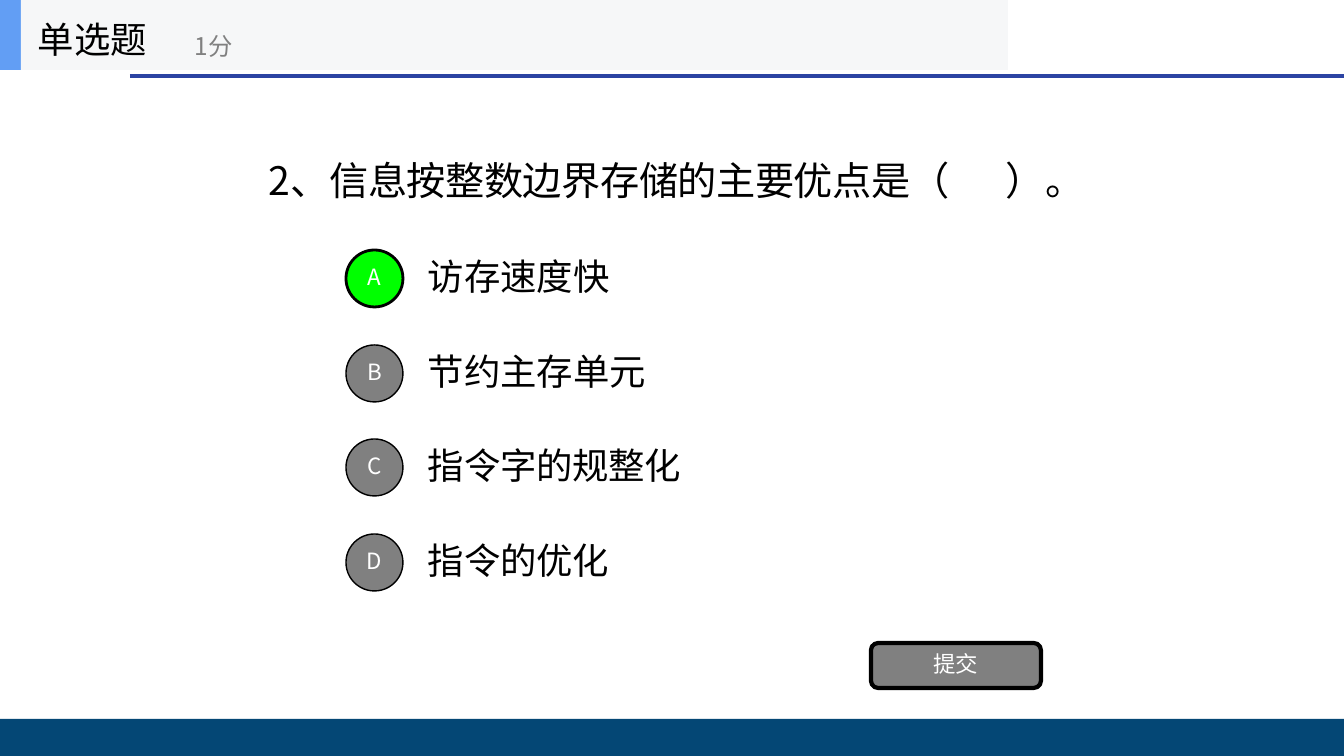
import pptx
import pptx.util
import pptx.dml.color
import pptx.enum.shapes
import pptx.enum.text
import pptx.oxml.ns
import lxml.etree

SIZE = (1344, 756)
THEME = {
    "font": "Noto Sans CJK SC",
    "ink": "000000", "white": "FFFFFF", "gray": "808080", "green": "00FF00",
    "rule": "2C44A3", "foot": "044775", "tab": "629EF4", "head": "F6F7F8",
    "title": 28, "body": 26, "score": 30, "mark": 16,
}
HEAD = [("单选", "body", "ink", 0, 0), ("题\t", "body", "ink", -50, 0),
        ("1", "score", "gray", 0, -4000), ("分", "score", "gray", -80, -4000)]
TITLE = [("2", "title", "ink", 0, 0),
         ("、信息按整数边界存储的主要优点是", "title", "ink", -30, 0),
         ("（\t", "title", "ink", -50, 0), ("）", "title", "ink", -30, 0),
         ("。", "title", "ink", -50, 0)]
OPTIONS = [("A", "访存速度快", -10), ("B", "节约主存单元", -10),
           ("C", "指令字的规整化", -20), ("D", "指令的优化", -20)]
RIGHT = "A"
SUBMIT = "提交"
BARS = [("foot", (0, 719, 1344, 37)), ("tab", (0, 0, 21, 70))]
RULE = (130, 76, 1344, 76)
TOP, DISC, LEFT, TWICE = 250, 57, 346, 189

KIND = pptx.enum.shapes.MSO_SHAPE
ALIGN = pptx.enum.text.PP_ALIGN
ANCHOR = pptx.enum.text.MSO_ANCHOR
qn = pptx.oxml.ns.qn


def px(n):
    return pptx.util.Emu(round(n * 914400 / 100.8))


def tint(name):
    return pptx.dml.color.RGBColor.from_string(THEME[name])


def draw(slide, kind, box, fill, line=0):
    shape = slide.shapes.add_shape(kind, *map(px, box))
    shape.shadow.inherit = False
    shape.fill.solid()
    shape.fill.fore_color.rgb = tint(fill)
    if line:
        shape.line.color.rgb = tint("ink")
        shape.line.width = pptx.util.Pt(line)
    else:
        shape.line.fill.background()
    return shape


def write(shape, parts, anchor=ANCHOR.MIDDLE, align=ALIGN.LEFT,
          inset=(0, 0), indent=0, tab=0):
    frame = shape.text_frame
    frame.word_wrap = True
    frame.vertical_anchor = anchor
    frame.margin_left = frame.margin_right = 0
    frame.margin_top, frame.margin_bottom = map(px, inset)
    para = frame.paragraphs[0]
    para.alignment = align
    props = para._p.get_or_add_pPr()
    props.set("marL", str(px(indent)))
    if tab:
        tabs = lxml.etree.SubElement(props, qn("a:tabLst"))
        lxml.etree.SubElement(tabs, qn("a:tab"), pos=str(px(tab)), algn="l")
    for text, size, color, space, base in parts:
        run = para.add_run()
        run.text = text
        run.font.size = pptx.util.Pt(THEME[size])
        run.font.name = THEME["font"]
        run.font.color.rgb = tint(color)
        mark = run.font._element
        mark.set("spc", str(space))
        if base:
            mark.set("baseline", str(base))
        face = lxml.etree.Element(qn("a:ea"), typeface=THEME["font"])
        mark.find(qn("a:latin")).addnext(face)


def label(slide, box, parts, **style):
    write(slide.shapes.add_textbox(*map(px, box)), parts, **style)


def main():
    deck = pptx.Presentation()
    deck.slide_width, deck.slide_height = map(px, SIZE)
    slide = deck.slides.add_slide(deck.slide_layouts[6])

    rule = slide.shapes.add_connector(
        pptx.enum.shapes.MSO_CONNECTOR.STRAIGHT, *map(px, RULE))
    rule.line.color.rgb = tint("rule")
    rule.line.width = pptx.util.Pt(3)
    lxml.etree.SubElement(rule._element.spPr, qn("a:effectLst"))

    for fill, box in BARS:
        draw(slide, KIND.RECTANGLE, box, fill)
    head = draw(slide, KIND.RECTANGLE, (21, 0, 987, 70), "head")
    write(head, HEAD, anchor=ANCHOR.TOP, inset=(12, 0), indent=17, tab=157)
    label(slide, (268, 155, 816, 49), TITLE, indent=1, tab=737)

    for i, (key, text, space) in enumerate(OPTIONS):
        y = TOP + (TWICE * i + 1) // 2
        good = key == RIGHT
        disc = draw(slide, KIND.OVAL, (LEFT, y, DISC, DISC),
                    "green" if good else "gray", 2 if good else 1)
        write(disc, [(key, "mark", "white", -50, 0)],
              align=ALIGN.CENTER, inset=(0, 3))
        label(slide, (427, y + 3, 260, 46),
              [(text, "body", "ink", space, 0)], indent=1)

    button = draw(slide, KIND.ROUNDED_RECTANGLE, (871, 643, 170, 45), "gray", 3)
    button.adjustments[0] = 0.16
    write(button, [(SUBMIT, "mark", "white", -40, 0)],
          align=ALIGN.CENTER, inset=(0, 3))
    deck.save("out.pptx")


if __name__ == "__main__":
    main()
